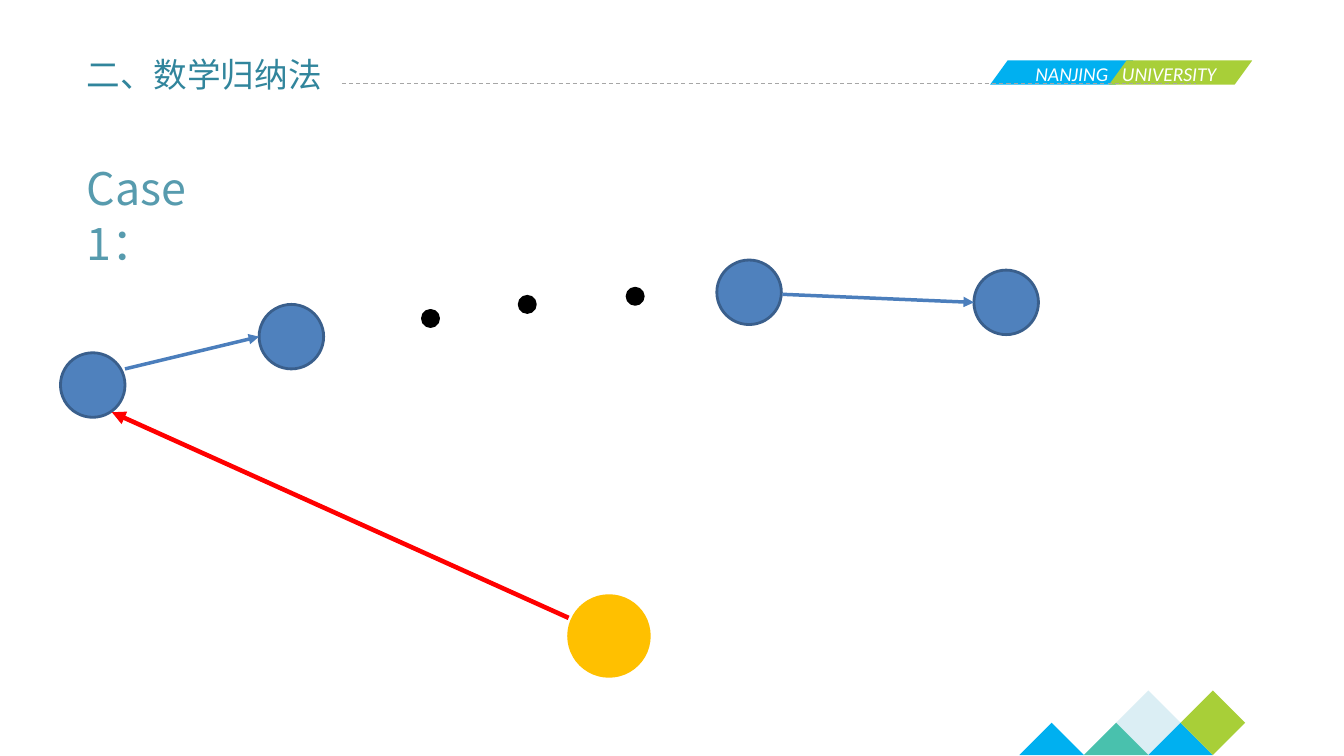
from dataclasses import dataclass

from pptx import Presentation
from pptx.dml.color import RGBColor
from pptx.enum.dml import MSO_LINE
from pptx.enum.shapes import MSO_CONNECTOR, MSO_SHAPE as Preset
from pptx.enum.text import MSO_ANCHOR
from pptx.oxml.ns import qn
from pptx.util import Inches, Pt
from lxml.etree import SubElement

CELL = 0.1  # inches per grid column and row


@dataclass(frozen=True)
class Theme:
    cyan: str = "00B0F0"
    lime: str = "A8CF38"
    mist: str = "DBEEF4"
    mint: str = "49C1AD"
    white: str = "FFFFFF"
    rule: str = "A6A6A6"
    title: str = "31859C"
    case: str = "579BAE"
    node: str = "4F81BD"
    node_edge: str = "3A5F8C"
    arrow: str = "4B7EBC"
    dot: str = "000000"
    new_node: str = "FFC000"
    new_arrow: str = "FF0000"
    heading_font: str = "Noto Sans CJK SC"
    badge_font: str = "Calibri"
    title_size: int = 24
    case_size: int = 32
    badge_size: int = 14


THEME = Theme()


def grid(cells):
    return Inches(cells * CELL)


def color(code):
    return RGBColor.from_string(code)


def add_solid(slide, preset, left, top, width, height, fill, edge=None):
    solid = slide.shapes.add_shape(preset, *map(grid, (left, top, width, height)))
    solid.shadow.inherit = False
    solid.fill.solid()
    solid.fill.fore_color.rgb = color(fill)
    if edge:
        solid.line.color.rgb = color(edge)
        solid.line.width = Pt(2)
    else:
        solid.line.fill.background()
    return solid


def add_disc(slide, center, diameter, fill, edge):
    x, y = center
    add_solid(slide, Preset.OVAL, x - diameter / 2, y - diameter / 2,
              diameter, diameter, fill, edge)


def add_line(slide, start, end, stroke, weight):
    line = slide.shapes.add_connector(MSO_CONNECTOR.STRAIGHT,
                                      *map(grid, (*start, *end)))
    line.line.color.rgb = color(stroke)
    line.line.width = Pt(weight)
    SubElement(line._element.spPr, qn("a:effectLst"))
    return line


def add_arrow(slide, start, end, stroke, weight):
    arrow = add_line(slide, start, end, stroke, weight)
    SubElement(arrow.line._get_or_add_ln(), qn("a:tailEnd"), type="triangle")


def add_label(slide, box, wording, font, size, ink):
    label = slide.shapes.add_textbox(*map(grid, box))
    paragraph = label.text_frame.paragraphs[0]
    paragraph.text = wording
    paragraph.font.name = font
    paragraph.font.size = Pt(size)
    paragraph.font.color.rgb = color(ink)
    return label.text_frame


def add_heading(slide, box, wording, size, ink):
    frame = add_label(slide, box, wording, THEME.heading_font, size, ink)
    frame.margin_top = Inches(0.09)
    paragraph = frame.paragraphs[0]
    paragraph.line_spacing = Pt(round(size * 1.22))
    for run in paragraph.runs:
        SubElement(run._r.get_or_add_rPr(), qn("a:ea"), typeface=THEME.heading_font)
    return frame


def add_badge(slide, left, top, width, height):
    """Two slanted plates that carry the university name."""
    plate = width * 0.546
    for plate_left, fill in ((left, THEME.cyan), (left + width - plate, THEME.lime)):
        slanted = add_solid(slide, Preset.PARALLELOGRAM, plate_left, top,
                            plate, height, fill)
        slanted.adjustments[0] = 0.726
    name = add_label(slide, (left + 3.5, top - 0.4, 22.4, 3.4), "NANJING\tUNIVERSITY",
                     THEME.badge_font, THEME.badge_size, THEME.white)
    name.vertical_anchor = MSO_ANCHOR.MIDDLE
    paragraph = name.paragraphs[0]
    tabs = SubElement(paragraph._p.get_or_add_pPr(), qn("a:tabLst"))
    SubElement(tabs, qn("a:tab"), pos=str(grid(8.6)), algn="l")
    paragraph.font.italic = True


def add_peaks(slide, left, top, width, height):
    """Corner ornament: triangles along the edge, diamonds behind them."""
    step = width / 3.5
    peaks = (
        (Preset.DIAMOND, 1.5, THEME.mist),
        (Preset.ISOSCELES_TRIANGLE, 2, THEME.cyan),
        (Preset.DIAMOND, 2.5, THEME.lime),
        (Preset.ISOSCELES_TRIANGLE, 1, THEME.mint),
        (Preset.ISOSCELES_TRIANGLE, 0, THEME.cyan),
    )
    for preset, column, fill in peaks:
        is_diamond = preset == Preset.DIAMOND
        add_solid(slide, preset, left + column * step,
                  top if is_diamond else top + height / 2,
                  step, height if is_diamond else height / 2, fill)


def add_header(slide, left, top, width, height):
    add_badge(slide, left + 90.6, top + 1.6, 26, 2.4)
    rule = add_line(slide, (left + 26.3, top + 3.9), (left + 111, top + 3.9),
                    THEME.rule, 0.75)
    rule.line.dash_style = MSO_LINE.DASH
    add_heading(slide, (left, top, 25.6, height), "二、数学归纳法",
                THEME.title_size, THEME.title).word_wrap = False


def add_path(slide, left, top, width, height):
    """A chain of nodes, and the new node that leads to its first one."""
    def spot(x, y):
        return left + x, top + y

    for center in ((3.2, 12.4), (22.9, 7.6), (68.3, 3.2), (93.8, 4.2)):
        add_disc(slide, spot(*center), 6.4, THEME.node, THEME.node_edge)
    for center in ((36.7, 5.8), (46.3, 4.4), (57, 3.6)):
        add_disc(slide, spot(*center), 1.6, THEME.dot, THEME.dot)
    add_disc(slide, spot(54.4, height - 4), 8, THEME.new_node, THEME.new_node)

    for start, end in (((6.4, 10.8), (19.7, 7.6)), ((71.6, 3.4), (90.6, 4.2))):
        add_arrow(slide, spot(*start), spot(*end), THEME.arrow, 2.5)
    add_arrow(slide, spot(50.4, 35.5), spot(5.1, 15.1), THEME.new_arrow, 3.25)


def add_case(slide, box):
    case = add_heading(slide, box, "Case 1：", THEME.case_size, THEME.case)
    case.word_wrap = True
    case.margin_right = grid(8)


def main():
    deck = Presentation()
    deck.slide_width, deck.slide_height = Inches(13.33), Inches(7.5)
    slide = deck.slides.add_slide(deck.slide_layouts[6])
    add_peaks(slide, 101.1, 68.5, 22.4, 6.4)
    add_header(slide, 7.6, 4.4, 116.6, 5)
    add_path(slide, 6, 25.8, 97, 41.3)
    add_case(slide, (7.6, 15, 20.6, 6.4))
    deck.save("out.pptx")


if __name__ == "__main__":
    main()
